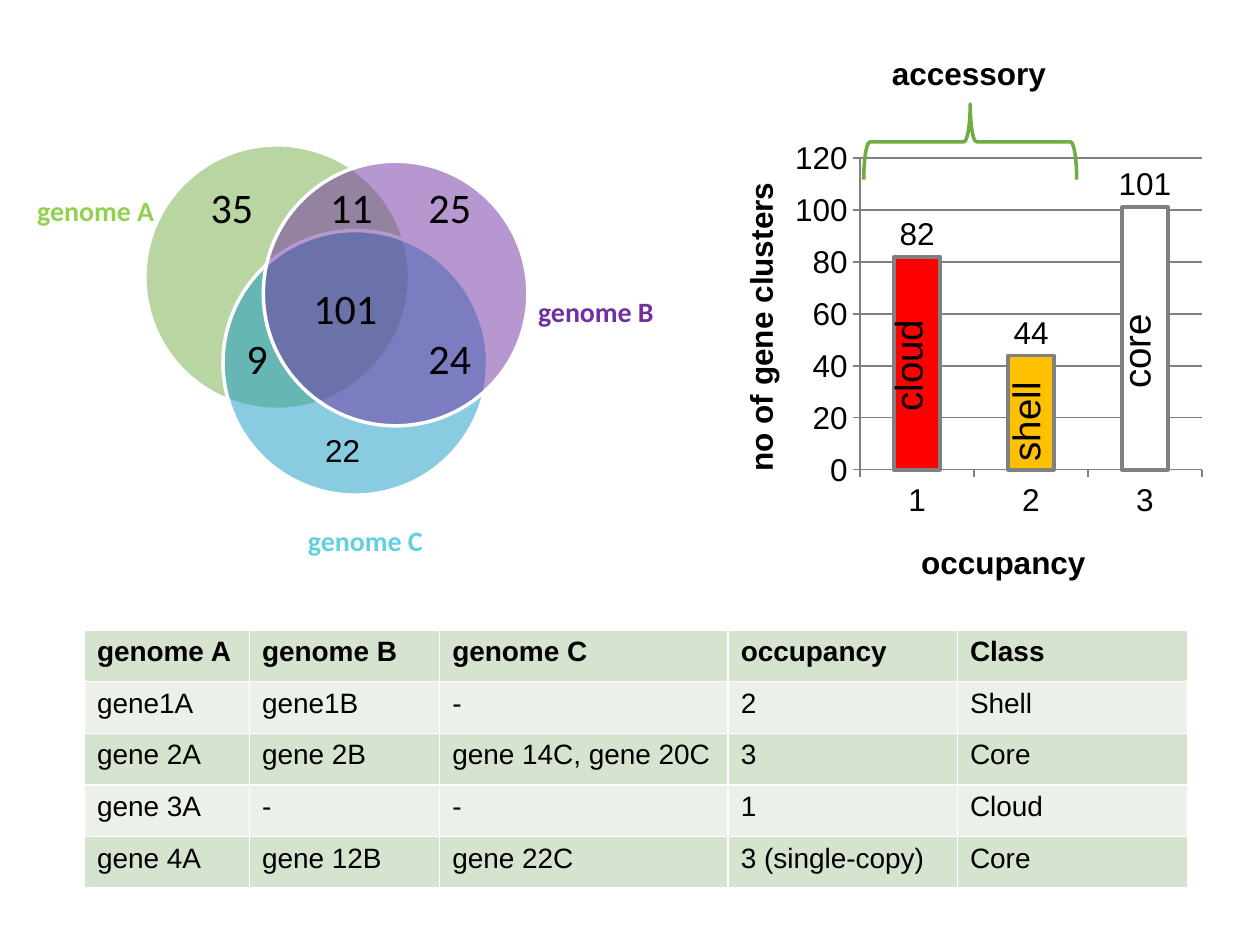
from lxml import etree
from pptx import Presentation
from pptx.chart.data import CategoryChartData
from pptx.dml.color import RGBColor
from pptx.enum.chart import XL_CHART_TYPE, XL_LABEL_POSITION, XL_TICK_MARK
from pptx.enum.shapes import MSO_SHAPE
from pptx.enum.text import MSO_ANCHOR, PP_ALIGN
from pptx.oxml.ns import qn
from pptx.util import Inches, Pt

COLUMN = XL_CHART_TYPE.COLUMN_CLUSTERED
OUT_END = XL_LABEL_POSITION.OUTSIDE_END
OUT, NONE = XL_TICK_MARK.OUTSIDE, XL_TICK_MARK.NONE
OVAL, BRACE = MSO_SHAPE.OVAL, MSO_SHAPE.RIGHT_BRACE
MIDDLE = MSO_ANCHOR.MIDDLE
LEFT, CENTER = PP_ALIGN.LEFT, PP_ALIGN.CENTER

COLORS = {
    "black": "000000", "white": "FFFFFF", "gray": "808080",
    "green": "72AD46", "blue": "1598C5", "purple": "7030A0",
    "lime": "92D050", "aqua": "62D0DF", "brace": "6FAC42",
    "red": "FF0000", "gold": "FFC000", "dark": "D5E3CF", "light": "EBF1E9",
}
ARIAL = {"name": "Arial", "size": Pt(18), "bold": False, "color": "black"}
TITLE = {**ARIAL, "bold": True}
SIDE = {**ARIAL, "size": Pt(22)}
CELL = {**ARIAL, "size": Pt(16)}
COUNT = {**ARIAL, "name": "Calibri", "size": Pt(24)}
LABEL = {**COUNT, "size": Pt(16), "bold": True}


class Maker:
    """Holds the colours and the current slide, and draws each kind of element."""

    def __init__(self, slide, colors):
        self.shapes = slide.shapes
        self.colors = colors

    def rgb(self, name):
        return RGBColor.from_string(self.colors[name])

    def font(self, font, style):
        for key, value in style.items():
            if key == "color":
                font.color.rgb = self.rgb(value)
            else:
                setattr(font, key, value)

    def line(self, line, color, width):
        line.color.rgb = self.rgb(color)
        line.width = Pt(width)

    def fill(self, fill, color):
        fill.solid()
        fill.fore_color.rgb = self.rgb(color)

    def venn(self, circles, size):
        group = self.shapes.add_group_shape()
        for left, top, color in circles:
            oval = group.shapes.add_shape(
                OVAL, Inches(left), Inches(top), Inches(size), Inches(size))
            oval.shadow.inherit = False
            self.fill(oval.fill, color)
            tint = oval.fill._xPr.find(".//" + qn("a:srgbClr"))
            etree.SubElement(tint, qn("a:alpha"), val="50000")
            self.line(oval.line, "white", 2)

    def text(self, words, box, style, align=LEFT, turn=0, wrap=True):
        shape = self.shapes.add_textbox(*map(Inches, box))
        shape.rotation = turn
        frame = shape.text_frame
        frame.word_wrap = wrap
        frame.vertical_anchor = MIDDLE
        para = frame.paragraphs[0]
        para.text = words
        para.alignment = align
        self.font(para.runs[0].font, style)

    def mark(self, words, x, y, style):
        wide, high = 1.4, 0.5
        self.text(words, (x - wide / 2, y - high / 2, wide, high), style, CENTER)

    def brace(self, box, turn):
        shape = self.shapes.add_shape(BRACE, *map(Inches, box))
        shape.rotation = turn
        shape.shadow.inherit = False
        shape.fill.background()
        self.line(shape.line, "brace", 2)

    def place(self, node, index, **spots):
        for old in node.findall(qn("c:layout")):
            node.remove(old)
        layout = etree.Element(qn("c:layout"))
        manual = etree.SubElement(layout, qn("c:manualLayout"))
        for key, value in spots.items():
            etree.SubElement(manual, qn("c:" + key), val=str(value))
        node.insert(index, layout)

    def axis(self, axis, words, x, y, turn):
        title = axis.axis_title
        para = title.text_frame.paragraphs[0]
        para.text = words
        self.font(para.runs[0].font, TITLE)
        title._element.find(".//" + qn("a:bodyPr")).set("rot", str(turn * 60000))
        self.place(title._element, 1, xMode="edge", yMode="edge", x=x, y=y)
        axis.major_tick_mark = OUT
        axis.minor_tick_mark = NONE
        self.line(axis.format.line, "gray", 0.75)
        self.font(axis.tick_labels.font, ARIAL)

    def chart(self, box, cats, vals, fills):
        data = CategoryChartData()
        data.categories = cats
        data.add_series("Series 1", vals)
        chart = self.shapes.add_chart(COLUMN, *map(Inches, box), data).chart
        chart.has_legend = chart.has_title = False
        self.font(chart.font, ARIAL)
        plot = chart.plots[0]
        plot.gap_width = 150
        plot.vary_by_categories = False
        bars = plot.series[0]
        self.fill(bars.format.fill, "white")
        self.line(bars.format.line, "gray", 2.25)
        for index, color in enumerate(fills):
            point = bars.points[index].format
            self.fill(point.fill, color)
            self.line(point.line, "gray", 2.25)
        labels = bars.data_labels
        labels.show_value = True
        labels.position = OUT_END
        self.font(labels.font, ARIAL)
        self.axis(chart.category_axis, "occupancy", 0.41, 0.86, 0)
        value = chart.value_axis
        self.axis(value, "no of gene clusters", 0.05, 0.1, -90)
        value.minimum_scale, value.maximum_scale, value.major_unit = 0, 120, 20
        value.has_major_gridlines = True
        self.line(value.major_gridlines.format.line, "gray", 0.75)
        area = chart._chartSpace.find(".//" + qn("c:plotArea"))
        self.place(area, 0, layoutTarget="inner", xMode="edge", yMode="edge",
                   x=0.3, y=0.06, w=0.68, h=0.66)

    def edge(self, cell):
        props = cell._tc.get_or_add_tcPr()
        for index, side in enumerate(("lnL", "lnR", "lnT", "lnB")):
            line = etree.Element(qn("a:" + side), w=str(Pt(1)))
            solid = etree.SubElement(line, qn("a:solidFill"))
            etree.SubElement(solid, qn("a:srgbClr"), val=self.colors["white"])
            props.insert(index, line)

    def table(self, left, top, widths, high, rows):
        table = self.shapes.add_table(
            len(rows), len(widths), Inches(left), Inches(top),
            Inches(sum(widths)), Inches(high * len(rows))).table
        for col, wide in zip(table.columns, widths):
            col.width = Inches(wide)
        for r, row in enumerate(rows):
            table.rows[r].height = Inches(high)
            for c, words in enumerate(row):
                cell = table.cell(r, c)
                cell.text = words
                self.fill(cell.fill, "light" if r % 2 else "dark")
                self.edge(cell)
                font = cell.text_frame.paragraphs[0].runs[0].font
                self.font(font, {**CELL, "bold": r == 0})


def main():
    deck = Presentation()
    deck.slide_width, deck.slide_height = Inches(10), Inches(7.5)
    make = Maker(deck.slides.add_slide(deck.slide_layouts[6]), COLORS)

    make.venn([(1.15, 1.15, "green"), (1.77, 1.83, "blue"),
               (2.09, 1.28, "purple")], 2.1)
    for words, x, y in (("35", 1.84, 1.64), ("11", 2.79, 1.64),
                        ("25", 3.57, 1.64), ("101", 2.74, 2.44),
                        ("9", 2.04, 2.84), ("24", 3.57, 2.84)):
        make.mark(words, x, y, COUNT)
    make.mark("22", 2.72, 3.57, ARIAL)
    for words, x, y, color in (("genome A", 0.76, 1.67, "lime"),
                               ("genome B", 4.73, 2.47, "purple"),
                               ("genome C", 2.9, 4.29, "aqua")):
        make.mark(words, x, y, {**LABEL, "color": color})

    make.chart((5.63, 1.03, 3.99, 3.75), ("1", "2", "3"), (82, 44, 101),
               ("red", "gold"))
    for words, left, top, wide in (("cloud", 6.72, 2.65, 0.96),
                                   ("shell", 7.67, 3.06, 0.93),
                                   ("core", 8.57, 2.51, 0.88)):
        make.text(words, (left, top, wide, 0.47), SIDE, turn=270)
    make.brace((7.4, 0.28, 0.6, 1.69), 270)
    make.text("accessory", (6.98, 0.38, 1.44, 0.4), TITLE, wrap=False)

    make.table(0.67, 5, (1.31, 1.51, 2.29, 1.82, 1.83), 0.41, (
        ("genome A", "genome B", "genome C", "occupancy", "Class"),
        ("gene1A", "gene1B", "-", "2", "Shell"),
        ("gene 2A", "gene 2B", "gene 14C, gene 20C", "3", "Core"),
        ("gene 3A", "-", "-", "1", "Cloud"),
        ("gene 4A", "gene 12B", "gene 22C", "3 (single-copy)", "Core")))
    deck.save("out.pptx")


if __name__ == "__main__":
    main()
